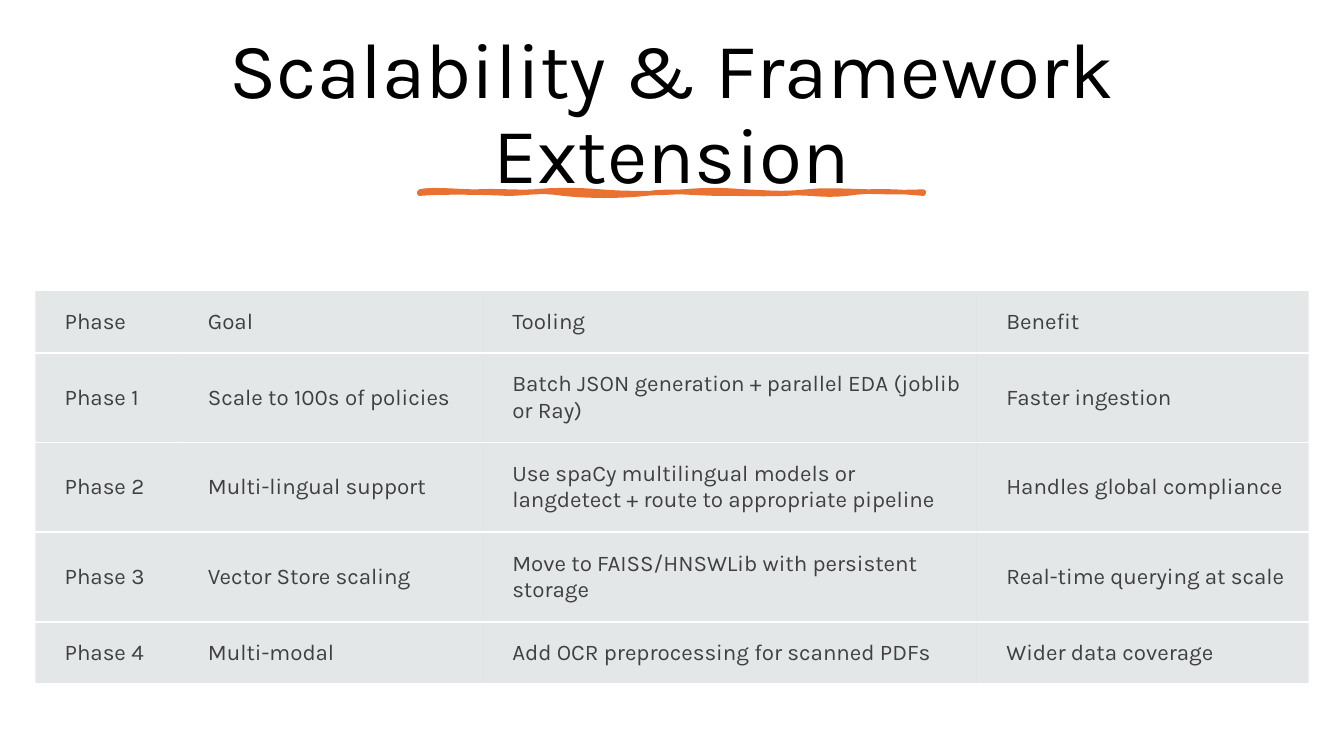
from lxml.etree import SubElement
from pptx import Presentation
from pptx.dml.color import RGBColor
from pptx.enum.text import MSO_ANCHOR, PP_ALIGN
from pptx.oxml import parse_xml
from pptx.oxml.ns import nsdecls, qn
from pptx.util import Cm, Pt

COLORS = {"title": "000000", "body": "404040", "accent": "E97132",
          "cell": "B4BCBE", "border": "FFFFFF"}
FONT = "Karla"
COLUMN_WIDTHS = [3.61, 7.67, 12.45, 8.36]
ROW_HEIGHTS = [1.57, 2.26, 2.26, 2.26, 1.57]
PHASES = [
    ["Phase", "Goal", "Tooling", "Benefit"],
    ["Phase 1", "Scale to 100s of policies",
     "Batch JSON generation + parallel EDA (joblib or Ray)", "Faster ingestion"],
    ["Phase 2", "Multi-lingual support",
     "Use spaCy multilingual models or langdetect + route to appropriate pipeline",
     "Handles global compliance"],
    ["Phase 3", "Vector Store scaling",
     "Move to FAISS/HNSWLib with persistent storage", "Real-time querying at scale"],
    ["Phase 4", "Multi-modal", "Add OCR preprocessing for scanned PDFs",
     "Wider data coverage"],
]
STROKE_START = (10.57, 4.83)
STROKE_CURVES = [
    [(10.87, 4.75), (11.53, 4.83), (12.01, 4.83)],
    [(12.5, 4.8), (12.93, 4.85), (13.44, 4.83)],
    [(13.94, 4.78), (14.58, 4.78), (15.14, 4.83)],
    [(15.67, 4.88), (16.59, 4.88), (17.2, 4.83)],
    [(17.83, 4.78), (18.14, 4.78), (18.77, 4.83)],
    [(19.38, 4.85), (19.66, 4.9), (20.32, 4.83)],
    [(20.98, 4.75), (22.02, 4.88), (23.27, 4.83)],
    [(23.29, 4.85), (23.27, 4.85), (23.27, 4.88)],
    [(22.73, 4.83), (21.97, 4.78), (21.34, 4.88)],
    [(20.7, 4.95), (20.35, 4.83), (19.79, 4.88)],
    [(19.2, 4.9), (18.97, 4.88), (18.21, 4.88)],
    [(17.45, 4.88), (16.94, 4.78), (16.28, 4.88)],
    [(15.6, 4.95), (14.86, 4.95), (14.2, 4.88)],
    [(13.56, 4.78), (13.28, 4.88), (12.78, 4.88)],
    [(12.27, 4.85), (11.13, 4.83), (10.57, 4.88)],
]


def color(name):
    """Return the named colour."""
    return RGBColor.from_string(COLORS[name])


def style_text(paragraph, size, color_name):
    """Format every run of a paragraph."""
    for span in paragraph.runs:
        span.font.name = FONT
        span.font.size = Pt(size)
        span.font.bold = False
        span.font.color.rgb = color(color_name)


def add_title(page, text):
    """Add the centred heading."""
    box = page.shapes.add_textbox(Cm(1.78), Cm(1.17), Cm(30.3), Cm(3.48))
    frame = box.text_frame
    frame.word_wrap = True
    frame.vertical_anchor = MSO_ANCHOR.MIDDLE
    frame.text = text
    para = frame.paragraphs[0]
    para.alignment = PP_ALIGN.CENTER
    para.line_spacing = 0.9
    style_text(para, 56, "title")


def curve_points(start, curve, steps=8):
    """Sample a cubic curve, leaving out its start."""
    knots = [start, *curve]
    points = []
    for step in range(1, steps + 1):
        t = step / steps
        weights = [(1 - t) ** 3, 3 * t * (1 - t) ** 2, 3 * t * t * (1 - t), t ** 3]
        points.append(tuple(Cm(sum(weight * knot[axis] for weight, knot in zip(weights, knots)))
                            for axis in (0, 1)))
    return points


def add_brush_stroke(page):
    """Draw the wavy underline below the heading."""
    builder = page.shapes.build_freeform(Cm(STROKE_START[0]), Cm(STROKE_START[1]))
    start = STROKE_START
    for curve in STROKE_CURVES:
        builder.add_line_segments(curve_points(start, curve), close=False)
        start = curve[-1]
    builder.add_line_segments([], close=True)
    stroke = builder.convert_to_shape()
    stroke.shadow.inherit = False
    stroke.fill.solid()
    stroke.fill.fore_color.rgb = color("accent")
    stroke.line.color.rgb = color("accent")
    stroke.line.width = Pt(3.25)


def set_borders(cell):
    """Rule a cell above and below, and leave its sides open."""
    properties = cell._tc.get_or_add_tcPr()
    rule = f'<a:solidFill><a:srgbClr val="{COLORS["border"]}"/></a:solidFill>'
    sides = {"lnL": "<a:noFill/>", "lnR": "<a:noFill/>", "lnT": rule, "lnB": rule}
    for index, (side, paint) in enumerate(sides.items()):
        line = parse_xml(f'<a:{side} {nsdecls("a")} w="{Pt(1.5)}">{paint}</a:{side}>')
        properties.insert(index, line)


def fill_cell(cell, text):
    """Write and style one table cell."""
    cell.text_frame.text = text
    cell.vertical_anchor = MSO_ANCHOR.MIDDLE
    cell.margin_left = Cm(0.74)
    cell.margin_right = cell.margin_top = cell.margin_bottom = Cm(0.38)
    style_text(cell.text_frame.paragraphs[0], 16, "body")
    cell.fill.solid()
    cell.fill.fore_color.rgb = color("cell")
    shade = cell._tc.tcPr.find(".//" + qn("a:srgbClr"))
    SubElement(shade, qn("a:alpha"), val="35000")
    set_borders(cell)


def add_phase_table(page):
    """Add the table of phases."""
    table = page.shapes.add_table(
        len(PHASES), len(COLUMN_WIDTHS), Cm(0.89), Cm(7.32),
        Cm(sum(COLUMN_WIDTHS)), Cm(sum(ROW_HEIGHTS))).table
    table.first_row = False
    table.horz_banding = False
    for column, width in zip(table.columns, COLUMN_WIDTHS):
        column.width = Cm(width)
    for row, height, texts in zip(table.rows, ROW_HEIGHTS, PHASES):
        row.height = Cm(height)
        for cell, text in zip(row.cells, texts):
            fill_cell(cell, text)


def main():
    """Build and save the deck."""
    deck = Presentation()
    deck.slide_width, deck.slide_height = Cm(33.87), Cm(19.05)
    page = deck.slides.add_slide(deck.slide_layouts[6])
    add_title(page, "Scalability & Framework Extension")
    add_brush_stroke(page)
    add_phase_table(page)
    deck.save("out.pptx")


if __name__ == "__main__":
    main()
